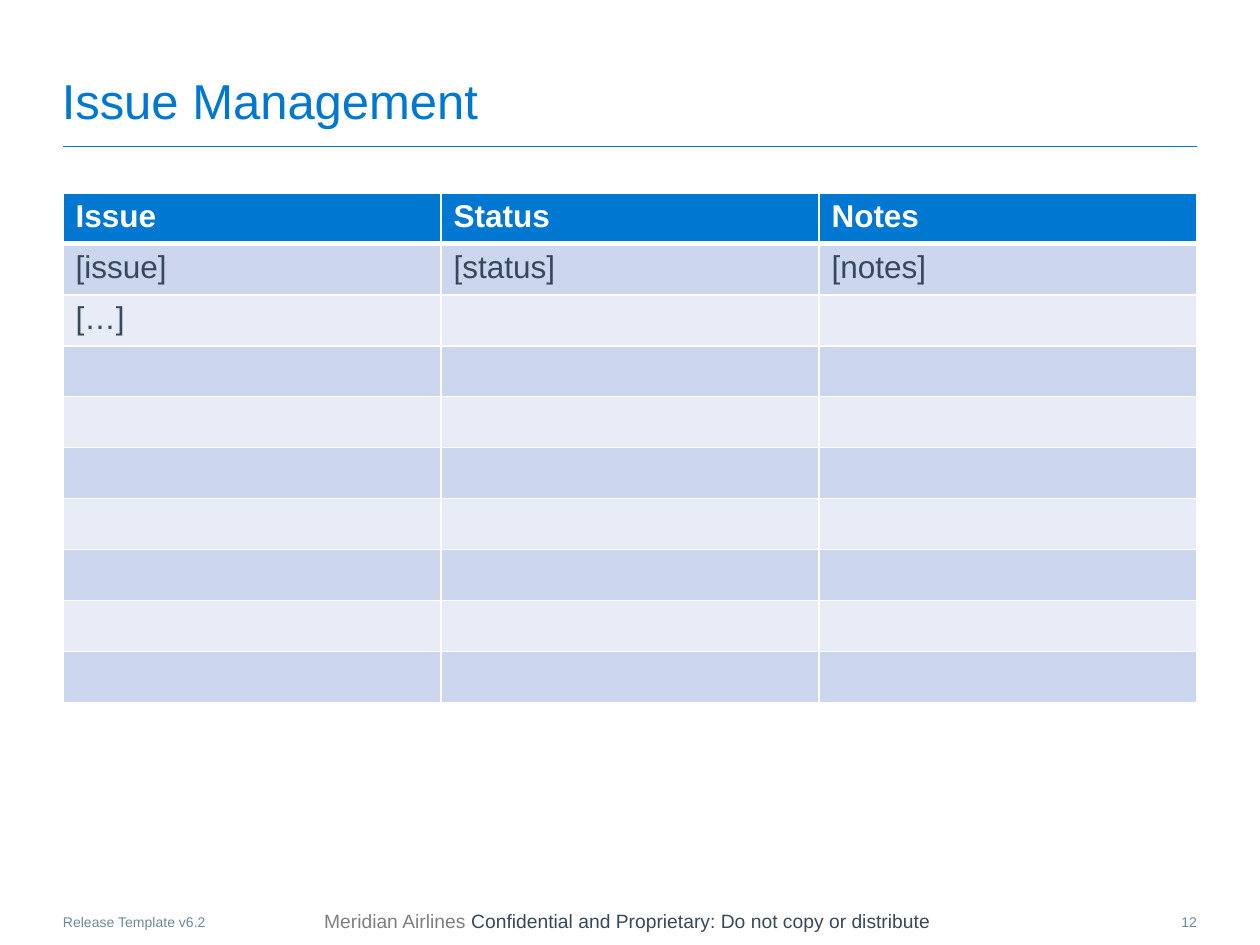
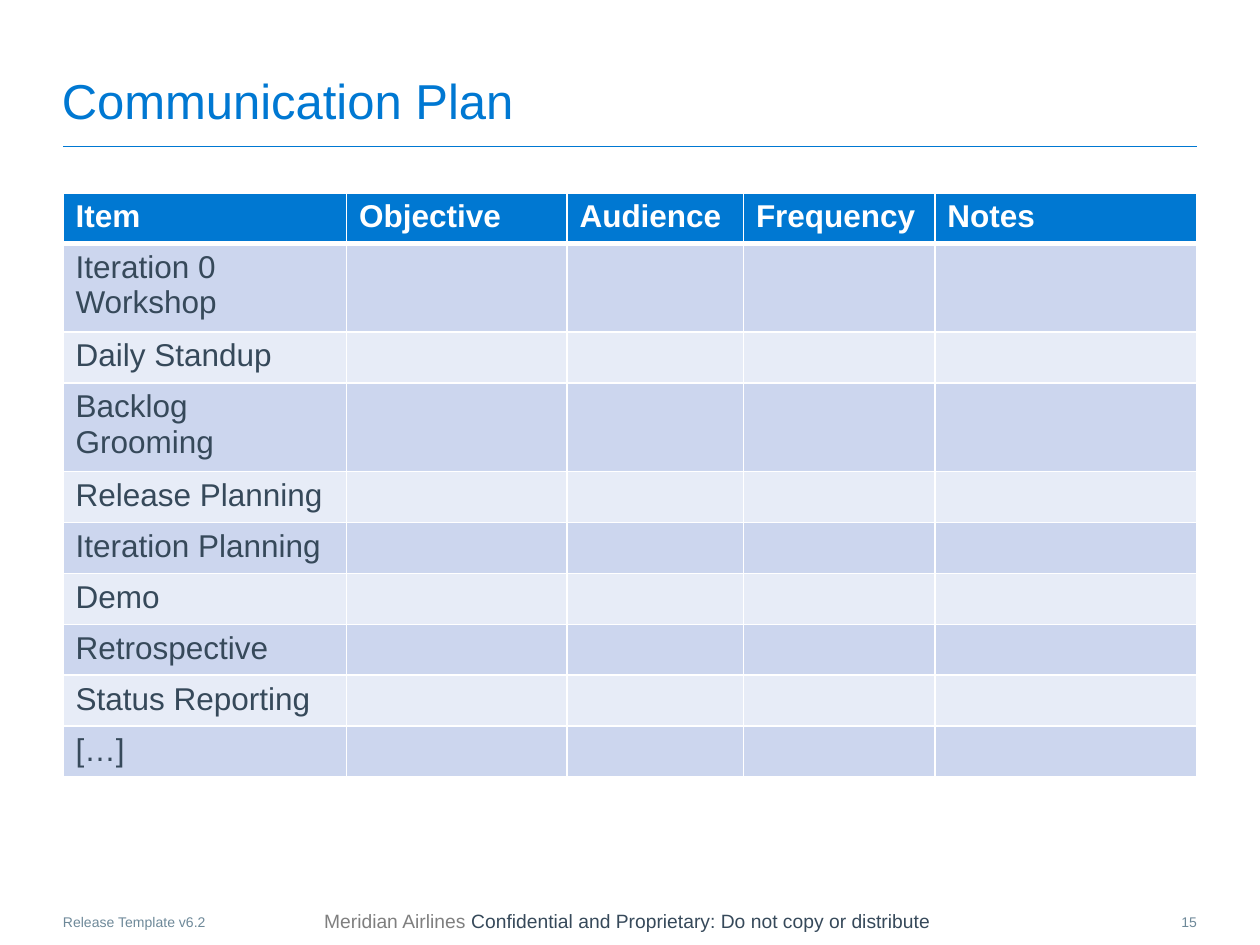
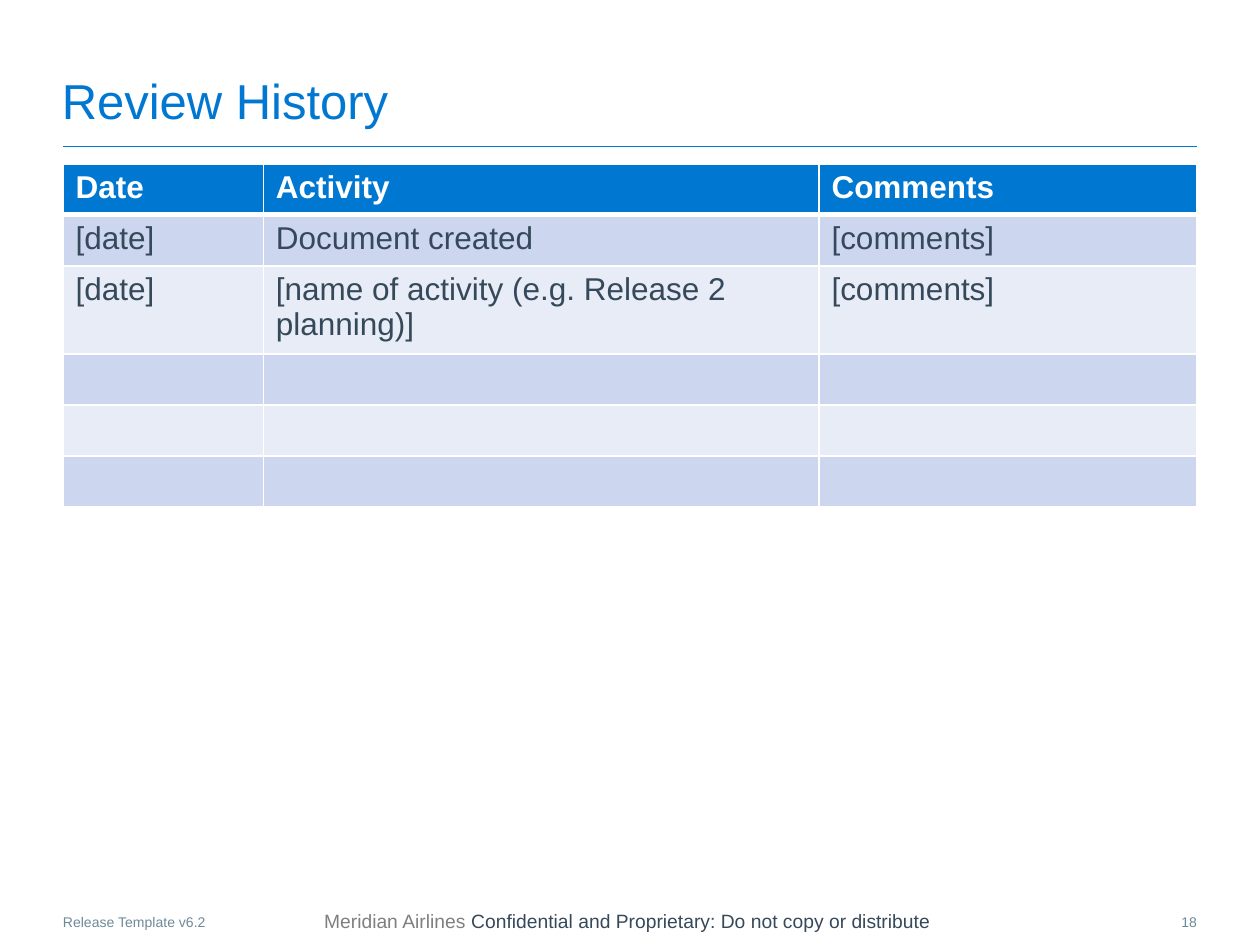
"""Build three release tracking slides that share one title, rule and footer style."""
from dataclasses import dataclass

from lxml import etree
from pptx import Presentation
from pptx.dml.color import RGBColor
from pptx.enum.shapes import MSO_CONNECTOR
from pptx.enum.text import MSO_ANCHOR, PP_ALIGN
from pptx.oxml.ns import qn
from pptx.slide import Slide
from pptx.table import _Cell
from pptx.text.text import _Paragraph
from pptx.util import Emu, Pt

STRAIGHT = MSO_CONNECTOR.STRAIGHT
TOP, MIDDLE, BOTTOM = MSO_ANCHOR.TOP, MSO_ANCHOR.MIDDLE, MSO_ANCHOR.BOTTOM
LEFT, CENTER, RIGHT = PP_ALIGN.LEFT, PP_ALIGN.CENTER, PP_ALIGN.RIGHT

EMU_PER_PX = 4572
SLIDE_SIZE = (2000, 1500)
BLANK_LAYOUT = 6
MARGIN = 100
CONTENT_WIDTH = SLIDE_SIZE[0] - 2 * MARGIN
RULE_Y = 232
ROW_HEIGHT = 81


@dataclass(frozen=True)
class Theme:
    """Colours, font, type sizes and line widths of the deck."""
    accent: str = "0078D2"
    body: str = "36495A"
    owner: str = "7F7F7F"
    footer: str = "6E8999"
    paper: str = "FFFFFF"
    bands: tuple[str, str] = ("CCD6EE", "E7ECF7")
    font: str = "Arial"
    title_size: int = 28
    table_size: int = 18
    notice_size: int = 11
    footer_size: int = 8
    rule_width: float = 0.5
    grid_width: int = 1
    header_width: int = 3


@dataclass(frozen=True)
class Run:
    """A stretch of text in one colour."""
    text: str
    color: str


@dataclass(frozen=True)
class Label:
    """A text box with its place and format, in px and points."""
    box: tuple[int, int, int, int]
    runs: tuple[Run, ...]
    size: int
    align: PP_ALIGN = LEFT
    anchor: MSO_ANCHOR = TOP
    wrap: bool = True
    inset: tuple[int, int] = (0, 0)


@dataclass(frozen=True)
class Page:
    """A titled slide with one table; missing cells stay empty."""
    title: str
    number: int
    table_top: int
    columns: tuple[int, ...]
    headings: tuple[str, ...]
    entries: tuple[tuple[str, ...], ...]
    row_count: int


THEME = Theme()

FOOTERS = (
    Label((402, 1436, 1188, 52),
          (Run("Meridian Airlines ", THEME.owner),
           Run("Confidential and Proprietary: Do not copy or distribute", THEME.body)),
          THEME.notice_size, CENTER, MIDDLE, False, (20, 10)),
    Label((MARGIN, 1450, 366, 28),
          (Run("Release Template v6.2", THEME.footer),), THEME.footer_size),
)

PAGES = (
    Page("Issue Management", 12, 306, (600, 600, 600),
         ("Issue", "Status", "Notes"),
         (("[issue]", "[status]", "[notes]"), ("[…]",)), 10),
    Page("Communication Plan", 15, 306, (450, 350, 280, 304, 416),
         ("Item", "Objective", "Audience", "Frequency", "Notes"),
         (("Iteration 0 Workshop",), ("Daily Standup",), ("Backlog Grooming",),
          ("Release Planning",), ("Iteration Planning",), ("Demo",),
          ("Retrospective",), ("Status Reporting",), ("[…]",)), 10),
    Page("Review History", 18, 260, (318, 882, 600),
         ("Date", "Activity", "Comments"),
         (("[date]", "Document created", "[comments]"),
          ("[date]", "[name of activity (e.g. Release 2 planning)]", "[comments]")), 6),
)


def px(length: int) -> Emu:
    """Turn px into EMU."""
    return Emu(length * EMU_PER_PX)


def rgb(color: str) -> RGBColor:
    """Turn a hex string into a colour."""
    return RGBColor.from_string(color)


def apply_format(target: object, values: dict[str, object]) -> None:
    """Set each attribute named in the format values."""
    for name, value in values.items():
        setattr(target, name, value)


def add_run(paragraph: _Paragraph, run: Run, size: int, bold: bool = False) -> None:
    """Append a formatted run."""
    piece = paragraph.add_run()
    piece.text = run.text
    apply_format(piece.font, {"name": THEME.font, "size": Pt(size), "bold": bold})
    piece.font.color.rgb = rgb(run.color)


def draw_label(slide: Slide, label: Label) -> None:
    """Draw one text box."""
    frame = slide.shapes.add_textbox(*map(px, label.box)).text_frame
    side, end = map(px, label.inset)
    apply_format(frame, {
        "word_wrap": label.wrap, "vertical_anchor": label.anchor,
        "margin_left": side, "margin_right": side,
        "margin_top": end, "margin_bottom": end,
    })
    paragraph = frame.paragraphs[0]
    paragraph.alignment = label.align
    for run in label.runs:
        add_run(paragraph, run, label.size)


def draw_rule(slide: Slide) -> None:
    """Draw the thin line under the title."""
    rule = slide.shapes.add_connector(
        STRAIGHT, px(MARGIN), px(RULE_Y), px(MARGIN + CONTENT_WIDTH), px(RULE_Y))
    rule.line.color.rgb = rgb(THEME.accent)
    rule.line.width = Pt(THEME.rule_width)
    etree.SubElement(rule._element.spPr, qn("a:effectLst"))


def set_borders(cell: _Cell, row: int) -> None:
    """Give a cell its grid lines, thicker between heading and body."""
    widths = {
        "a:lnL": THEME.grid_width,
        "a:lnR": THEME.grid_width,
        "a:lnT": THEME.header_width if row == 1 else THEME.grid_width,
        "a:lnB": THEME.header_width if row == 0 else THEME.grid_width,
    }
    properties = cell._tc.get_or_add_tcPr()
    for tag, width in widths.items():
        edge = etree.SubElement(properties, qn(tag), w=str(Pt(width)))
        fill = etree.SubElement(edge, qn("a:solidFill"))
        etree.SubElement(fill, qn("a:srgbClr"), val=THEME.paper)


def draw_table(slide: Slide, page: Page) -> None:
    """Draw the page's table with a heading row and alternating bands."""
    table = slide.shapes.add_table(
        page.row_count, len(page.columns), px(MARGIN), px(page.table_top),
        px(CONTENT_WIDTH), px(ROW_HEIGHT * page.row_count)).table
    table.horz_banding = False
    for column, width in zip(table.columns, page.columns):
        column.width = px(width)
    texts = (page.headings, *page.entries)
    for row_index, row in enumerate(table.rows):
        row.height = px(ROW_HEIGHT)
        heading = row_index == 0
        fill = THEME.accent if heading else THEME.bands[(row_index - 1) % 2]
        ink = THEME.paper if heading else THEME.body
        row_texts = texts[row_index] if row_index < len(texts) else ()
        for cell in row.cells:
            set_borders(cell, row_index)
            cell.fill.solid()
            cell.fill.fore_color.rgb = rgb(fill)
        for cell, text in zip(row.cells, row_texts):
            add_run(cell.text_frame.paragraphs[0], Run(text, ink), THEME.table_size, heading)


def draw_page(slide: Slide, page: Page) -> None:
    """Draw the shared parts, the title, the number and the table."""
    title = Label((98, 84, 1802, 122), (Run(page.title, THEME.accent),),
                  THEME.title_size, anchor=BOTTOM)
    number = Label((1830, 1450, 70, 30), (Run(str(page.number), THEME.footer),),
                   THEME.footer_size, RIGHT)
    draw_rule(slide)
    for label in (*FOOTERS, title, number):
        draw_label(slide, label)
    draw_table(slide, page)


def main() -> None:
    """Build and save the deck."""
    deck = Presentation()
    deck.slide_width, deck.slide_height = map(px, SLIDE_SIZE)
    for page in PAGES:
        draw_page(deck.slides.add_slide(deck.slide_layouts[BLANK_LAYOUT]), page)
    deck.save("out.pptx")


if __name__ == "__main__":
    main()
